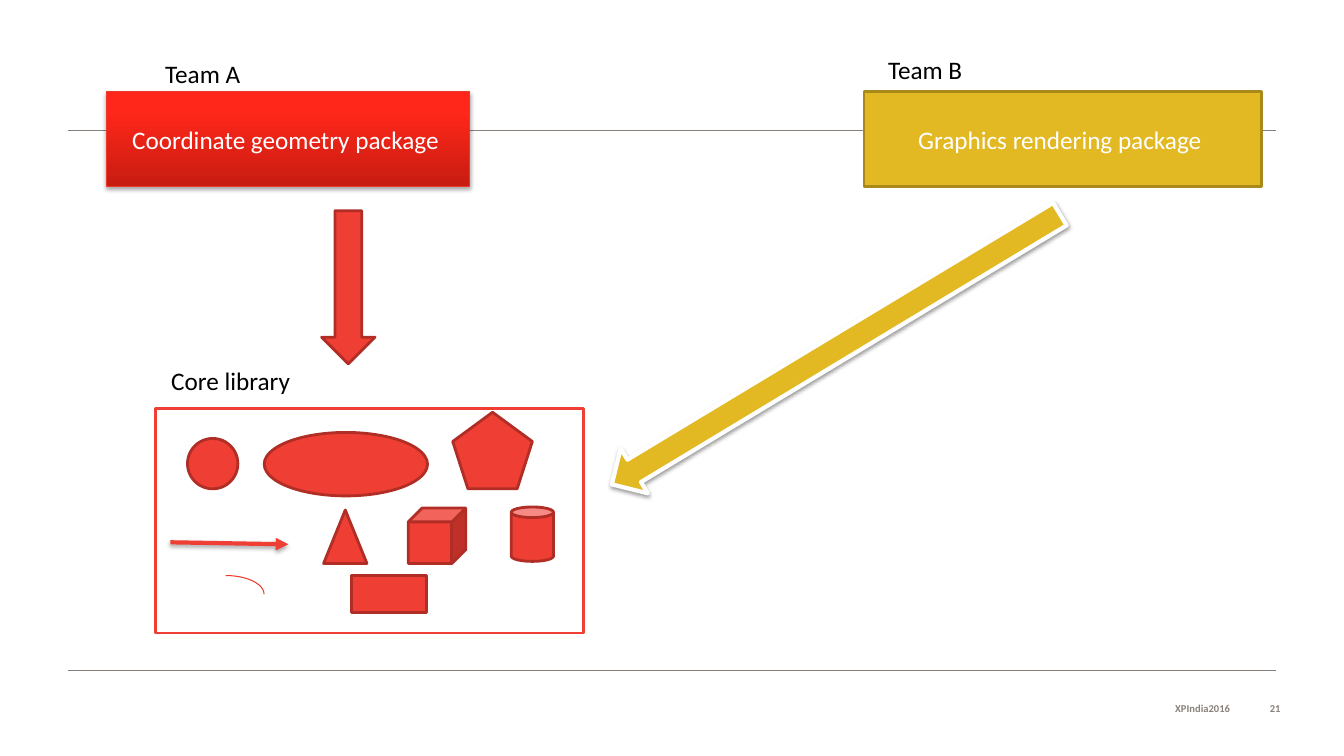
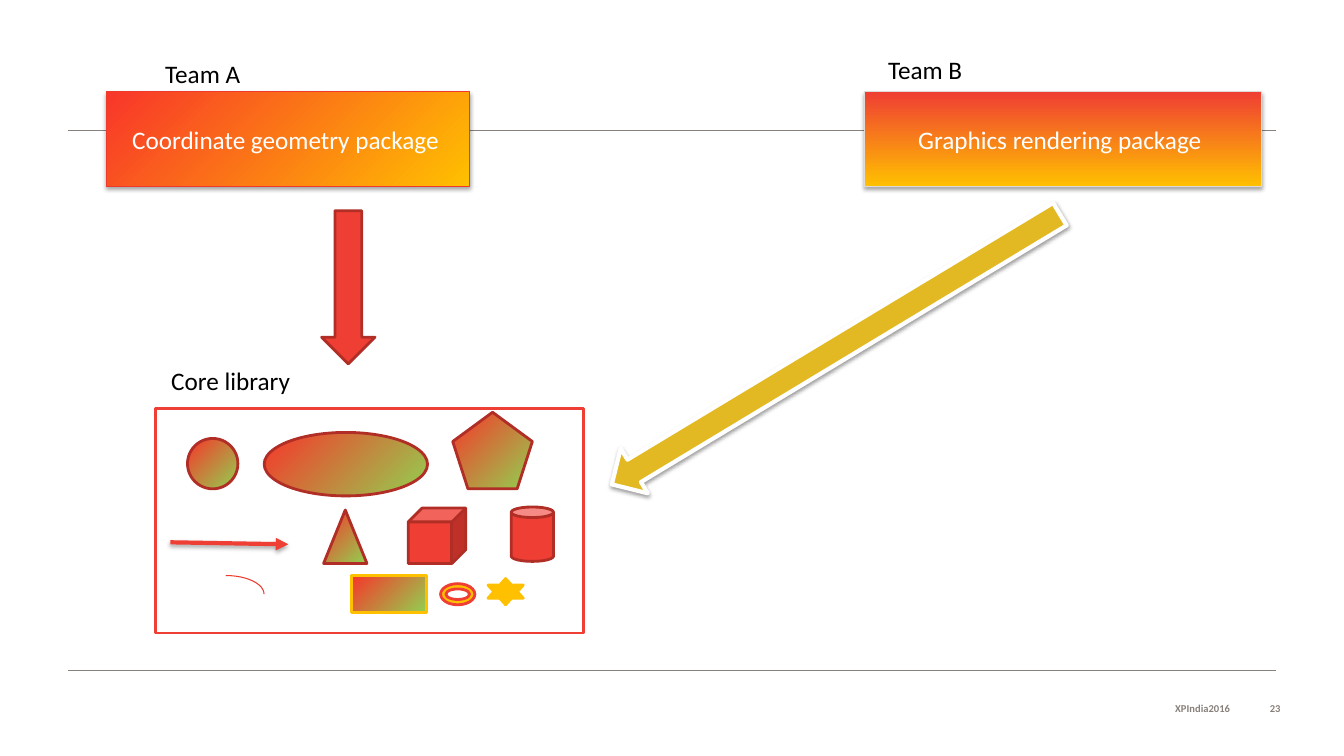
"""Build two slides on teams that share a core library of shapes."""
from dataclasses import dataclass
from typing import Any

from lxml import etree
from pptx import Presentation
from pptx.dml.color import RGBColor
from pptx.enum import shapes, text
from pptx.oxml.ns import qn
from pptx.util import Inches, Pt

KIND = shapes.MSO_SHAPE
ALIGN = text.PP_ALIGN
FONT = "Calibri"
BLACK = RGBColor(0x00, 0x00, 0x00)
WHITE = RGBColor(0xFF, 0xFF, 0xFF)
GREY = RGBColor(0x88, 0x80, 0x7A)
PALE_GREY = RGBColor(0xE0, 0xDB, 0xD7)
RED = RGBColor(0xEF, 0x3E, 0x33)
DARK_RED = RGBColor(0xB1, 0x2E, 0x26)
EDGE_RED = RGBColor(0xEE, 0x39, 0x2D)
WARM_RED = RGBColor(0xF8, 0x36, 0x2A)
DEEP_RED = RGBColor(0xC7, 0x1C, 0x11)
BRIGHT_RED = RGBColor(0xFF, 0x27, 0x1A)
GLOSS_RED = RGBColor(0xFF, 0x29, 0x1B)
GOLD = RGBColor(0xE3, 0xB9, 0x23)
DARK_GOLD = RGBColor(0xA8, 0x89, 0x1A)
AMBER = RGBColor(0xFF, 0xC0, 0x00)
GREEN = RGBColor(0x92, 0xD0, 0x50)

HAIRLINE, THIN, MEDIUM, THICK = 0.5, 0.75, 2, 3


@dataclass(frozen=True)
class Gradient:
    """Colour stops in percent along a counter-clockwise angle."""
    angle: int
    stops: tuple


@dataclass(frozen=True)
class Shadow:
    """A downward shadow: opacity in percent, blur and distance in points."""
    opacity: int
    blur: float
    distance: float


@dataclass(frozen=True)
class Style:
    """Fill, outline and shadow of a shape."""
    fill: Any = RED
    line: RGBColor = DARK_RED
    width: float = MEDIUM
    shadow: Any = None


@dataclass(frozen=True)
class Version:
    """What differs from one slide to the next."""
    number: str
    geometry: Style
    rendering: Style
    flat: Style
    rectangle: Style
    extras: tuple = ()


UPWARD, DIAGONAL = 90, 315
GLOSSY_RED = Gradient(UPWARD, ((0, DEEP_RED), (80, BRIGHT_RED), (100, GLOSS_RED)))
RED_TO_AMBER = Gradient(DIAGONAL, ((0, WARM_RED), (100, AMBER)))
AMBER_TO_RED = Gradient(UPWARD, ((0, AMBER), (100, RED)))
RED_TO_GREEN = Gradient(DIAGONAL, ((0, WARM_RED), (100, GREEN)))
SOFT_SHADOW = Shadow(35, 3.1, 1.8)
ARROW_SHADOW = Shadow(38, 3.1, 1.6)

SOLID = Style()
FRAME = Style(fill=WHITE, line=RED)
CURVE = Style(fill=None, line=EDGE_RED, width=THIN)
RENDERING_ARROW = Style(GOLD, WHITE, THICK, ARROW_SHADOW)

LABELS = (("Team A", 1.54, 0.53), ("Team B", 8.71, 0.49), ("Core library", 1.6, 3.57))
FLAT_FIGURES = (
    (KIND.FLOWCHART_CONNECTOR, (1.86, 4.35, 0.5, 0.5)),
    (KIND.OVAL, (2.62, 4.29, 1.62, 0.63)),
    (KIND.REGULAR_PENTAGON, (4.49, 4.09, 0.79, 0.76)),
    (KIND.ISOSCELES_TRIANGLE, (3.21, 5.06, 0.43, 0.53)),
)
SOLID_FIGURES = (
    (KIND.CUBE, (4.05, 5.04, 0.57, 0.55)),
    (KIND.CAN, (5.07, 5.03, 0.42, 0.54)),
)
VERSIONS = (
    Version(
        number="21",
        geometry=Style(GLOSSY_RED, EDGE_RED, THIN, SOFT_SHADOW),
        rendering=Style(GOLD, DARK_GOLD),
        flat=SOLID,
        rectangle=SOLID,
    ),
    Version(
        number="23",
        geometry=Style(RED_TO_AMBER, EDGE_RED, THIN, SOFT_SHADOW),
        rendering=Style(AMBER_TO_RED, PALE_GREY, THIN, SOFT_SHADOW),
        flat=Style(fill=RED_TO_GREEN),
        rectangle=Style(RED_TO_GREEN, AMBER),
        extras=(
            (KIND.STAR_6_POINT, (4.84, 5.74, 0.35, 0.26), Style(AMBER, AMBER)),
            (KIND.DONUT, (4.37, 5.79, 0.34, 0.21), Style(AMBER, RED)),
        ),
    ),
)


def write(frame, words, size=18, color=BLACK, bold=False, align=ALIGN.LEFT):
    """Put one formatted paragraph in a text frame."""
    frame.word_wrap = True
    paragraph = frame.paragraphs[0]
    paragraph.alignment = align
    run = paragraph.add_run()
    run.text = words
    run.font.name = FONT
    run.font.size = Pt(size)
    run.font.bold = bold
    run.font.color.rgb = color


def outline(item, color, width):
    """Set the line colour and width of a shape or connector."""
    item.line.color.rgb = color
    item.line.width = Pt(width)


def cast(item, shadow):
    """Replace the theme shadow with the given one, or with none."""
    effects = etree.SubElement(item.element.spPr, qn("a:effectLst"))
    if shadow:
        outer = etree.SubElement(
            effects, qn("a:outerShdw"), blurRad=str(Pt(shadow.blur)),
            dist=str(Pt(shadow.distance)), dir="5400000", rotWithShape="0")
        tint = etree.SubElement(outer, qn("a:srgbClr"), val=str(BLACK))
        etree.SubElement(tint, qn("a:alpha"), val=str(shadow.opacity * 1000))


def paint(item, fill):
    """Fill a shape with nothing, a colour or a gradient."""
    if fill is None:
        item.fill.background()
    elif isinstance(fill, Gradient):
        item.fill.gradient()
        item.fill.gradient_angle = fill.angle
        stop_list = item.element.spPr.find(".//" + qn("a:gsLst"))
        for default_stop in list(stop_list):
            stop_list.remove(default_stop)
        for percent, color in fill.stops:
            stop = etree.SubElement(stop_list, qn("a:gs"), pos=str(percent * 1000))
            etree.SubElement(stop, qn("a:srgbClr"), val=str(color))
    else:
        item.fill.solid()
        item.fill.fore_color.rgb = fill


def add_figure(slide, kind, place, style=SOLID):
    """Add a styled preset shape and return it."""
    figure = slide.shapes.add_shape(kind, *map(Inches, place))
    paint(figure, style.fill)
    outline(figure, style.line, style.width)
    cast(figure, style.shadow)
    return figure


def add_line(slide, start, end, color, width, shadow=None):
    """Add a straight line and return it."""
    line = slide.shapes.add_connector(
        shapes.MSO_CONNECTOR.STRAIGHT, *map(Inches, start + end))
    outline(line, color, width)
    cast(line, shadow)
    return line


def add_label(slide, words, left, top):
    """Add a caption above a box."""
    frame = slide.shapes.add_textbox(*map(Inches, (left, top, 3.02, 0.42))).text_frame
    frame.auto_size = text.MSO_AUTO_SIZE.SHAPE_TO_FIT_TEXT
    write(frame, words)


def add_footer(slide, words, left, width):
    """Add one right-aligned part of the footer."""
    frame = slide.shapes.add_textbox(*map(Inches, (left, 6.96, width, 0.18))).text_frame
    frame.margin_left = frame.margin_right = frame.margin_top = frame.margin_bottom = 0
    write(frame, words, size=7.5, color=GREY, bold=True, align=ALIGN.RIGHT)


def add_package(slide, words, left, width, style):
    """Add the box of one team's package."""
    package = add_figure(slide, KIND.RECTANGLE, (left, 0.91, width, 0.94), style)
    package.text_frame.vertical_anchor = text.MSO_ANCHOR.MIDDLE
    write(package.text_frame, words, color=WHITE, align=ALIGN.CENTER)


def add_rules(slide):
    """Draw the two rules and move them to the layout that all slides use."""
    for top in (1.29, 6.65):
        rule = add_line(slide, (0.67, top), (12.66, top), GREY, HAIRLINE)
        slide.slide_layout.shapes.element.append(rule.element)


def add_library(slide, version):
    """Draw the core library and the figures in it."""
    add_figure(slide, KIND.RECTANGLE, (1.54, 4.05, 4.25, 2.23), FRAME)
    for kind, place in FLAT_FIGURES:
        add_figure(slide, kind, place, version.flat)
    for kind, place in SOLID_FIGURES:
        add_figure(slide, kind, place)
    add_figure(slide, KIND.RECTANGLE, (3.49, 5.71, 0.74, 0.37), version.rectangle)
    add_figure(slide, KIND.ARC, (1.86, 5.71, 0.76, 0.37), CURVE)
    vector = add_line(slide, (1.69, 5.38), (2.86, 5.4), RED, THICK, SOFT_SHADOW)
    stroke = vector.element.spPr.find(qn("a:ln"))
    etree.SubElement(stroke, qn("a:tailEnd"), type="triangle")
    for kind, place, style in version.extras:
        add_figure(slide, kind, place, style)


def add_team_arrows(slide):
    """Point from each team's package to the library."""
    add_figure(slide, KIND.DOWN_ARROW, (3.19, 2.09, 0.53, 1.52))
    rendering_arrow = add_figure(
        slide, KIND.UP_ARROW, (8.03, 0.87, 0.52, 5.19), RENDERING_ARROW)
    rendering_arrow.rotation = 238.9


def add_diagram(slide, version):
    """Draw both teams, the library they use and the footer."""
    add_package(slide, "Coordinate geometry package ", 1.06, 3.6, version.geometry)
    add_package(slide, "Graphics rendering package ", 8.57, 3.94, version.rendering)
    add_library(slide, version)
    for words, left, top in LABELS:
        add_label(slide, words, left, top)
    add_team_arrows(slide)
    add_footer(slide, "XPIndia2016", 7.98, 4.22)
    add_footer(slide, version.number, 12.28, 0.42)


def main():
    """Build and save the presentation."""
    deck = Presentation()
    deck.slide_width, deck.slide_height = Inches(13.33), Inches(7.5)
    blank = deck.slide_layouts.get_by_name("Blank")
    for version in VERSIONS:
        add_diagram(deck.slides.add_slide(blank), version)
    add_rules(deck.slides[0])
    deck.save("out.pptx")


if __name__ == "__main__":
    main()
